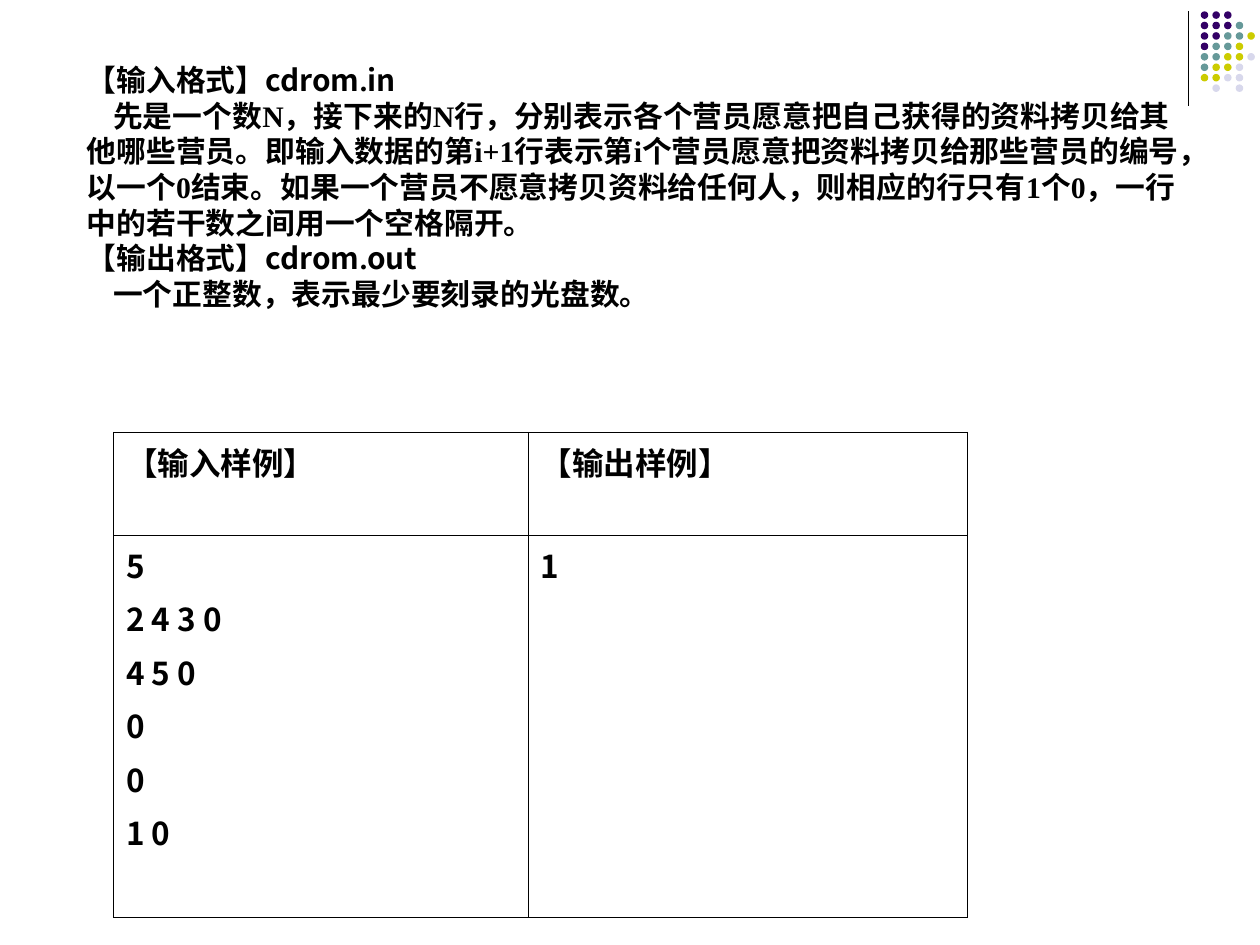
from lxml import etree
from pptx import Presentation
from pptx.dml.color import RGBColor
from pptx.enum.shapes import MSO_CONNECTOR, MSO_SHAPE
from pptx.enum.text import MSO_AUTO_SIZE
from pptx.oxml.ns import qn
from pptx.util import Inches, Pt

OVAL = MSO_SHAPE.OVAL
LINE = MSO_CONNECTOR.STRAIGHT
GROW = MSO_AUTO_SIZE.SHAPE_TO_FIT_TEXT
WIDE, HIGH = 10, 7.5
HAN, ROMAN = "Noto Sans CJK SC", "Times New Roman"
BLACK = "000000"
DOTS = ["PPP", "PPPT", "PPTTY", "PTTY", "TTYYL", "TYYL", "YYLL", " L L"]
HUES = {"P": "330066", "T": "669999", "Y": "CCCC00", "L": "D8D8EC"}
BODY = [
    ("【输入格式】cdrom|.|in", 0),
    ("先是一个数|N|，接下来的|N|行，分别表示各个营员愿意把自己获得的资料拷贝给"
     "其他哪些营员。即输入数据的第|i+1|行表示第|i|个营员愿意把资料拷贝给那些营员的"
     "编号，以一个|0|结束。如果一个营员不愿意拷贝资料给任何人，则相应的行只有|1|个|0|"
     "，一行中的若干数之间用一个空格隔开。", 0.21),
    ("【输出格式】cdrom|.|out", 0),
    ("一个正整数，表示最少要刻录的光盘数。", 0.21),
]
CELLS = [["【输入样例】", "【输出样例】"],
         ["5\n2 4 3 0\n4 5 0\n0\n0\n1 0", "1"]]
COLS, ROWS = [3.29, 3.49], [0.82, 3.03]


def tint(code):
    return RGBColor.from_string(code)


def style(run, size, face=HAN):
    font = run.font
    font.size, font.bold, font.name = Pt(size), True, face
    font.color.rgb = tint(BLACK)
    etree.SubElement(run._r.get_or_add_rPr(), qn("a:ea")).set("typeface", face)


def add_rule(slide):
    x = Inches(9.43)
    rule = slide.shapes.add_connector(LINE, x, Inches(0.09), x, Inches(0.84))
    rule.line.color.rgb = tint(BLACK)
    rule.line.width = Pt(0.75)
    etree.SubElement(rule._element.spPr, qn("a:effectLst"))


def add_dots(slide):
    left, top, size = 9.53, 0.09, 0.06
    across, down = (9.9 - left) / 4, (0.67 - top) / 7
    for row, marks in enumerate(DOTS):
        for col, mark in enumerate(marks):
            if mark in HUES:
                dot = slide.shapes.add_shape(
                    OVAL, Inches(left + col * across), Inches(top + row * down),
                    Inches(size), Inches(size))
                dot.shadow.inherit = False
                dot.fill.solid()
                dot.fill.fore_color.rgb = tint(HUES[mark])
                dot.line.fill.background()


def add_body(slide):
    box = slide.shapes.add_textbox(
        Inches(0.59), Inches(0.44), Inches(8.98), Inches(2.09))
    frame = box.text_frame
    frame.word_wrap = True
    frame.auto_size = GROW
    frame.text = "\n".join("" for _ in BODY)
    for para, (text, indent) in zip(frame.paragraphs, BODY):
        para.line_spacing = Pt(20.4)
        para._p.get_or_add_pPr().set("indent", str(Inches(indent)))
        for place, part in enumerate(text.split("|")):
            run = para.add_run()
            run.text = part
            style(run, 17, ROMAN if place % 2 else HAN)


def add_edges(cell):
    props = cell._tc.get_or_add_tcPr()
    for place, side in enumerate(("lnL", "lnR", "lnT", "lnB")):
        edge = etree.Element(qn("a:" + side), w=str(Pt(0.23)))
        fill = etree.SubElement(edge, qn("a:solidFill"))
        etree.SubElement(fill, qn("a:srgbClr"), val=BLACK)
        props.insert(place, edge)


def add_grid(slide):
    table = slide.shapes.add_table(
        len(ROWS), len(COLS), Inches(0.9), Inches(3.43),
        Inches(sum(COLS)), Inches(sum(ROWS))).table
    table.first_row = table.horz_banding = False
    for col, width in zip(table.columns, COLS):
        col.width = Inches(width)
    for row, height, texts in zip(table.rows, ROWS, CELLS):
        row.height = Inches(height)
        for cell, text in zip(row.cells, texts):
            cell.text_frame.text = text
            cell.fill.background()
            add_edges(cell)
            for place, para in enumerate(cell.text_frame.paragraphs):
                if place:
                    para.space_before = Pt(4.5)
                for run in para.runs:
                    style(run, 18)


def main():
    deck = Presentation()
    deck.slide_width, deck.slide_height = Inches(WIDE), Inches(HIGH)
    slide = deck.slides.add_slide(deck.slide_layouts[6])
    add_rule(slide)
    add_dots(slide)
    add_body(slide)
    add_grid(slide)
    deck.save("out.pptx")


if __name__ == "__main__":
    main()
